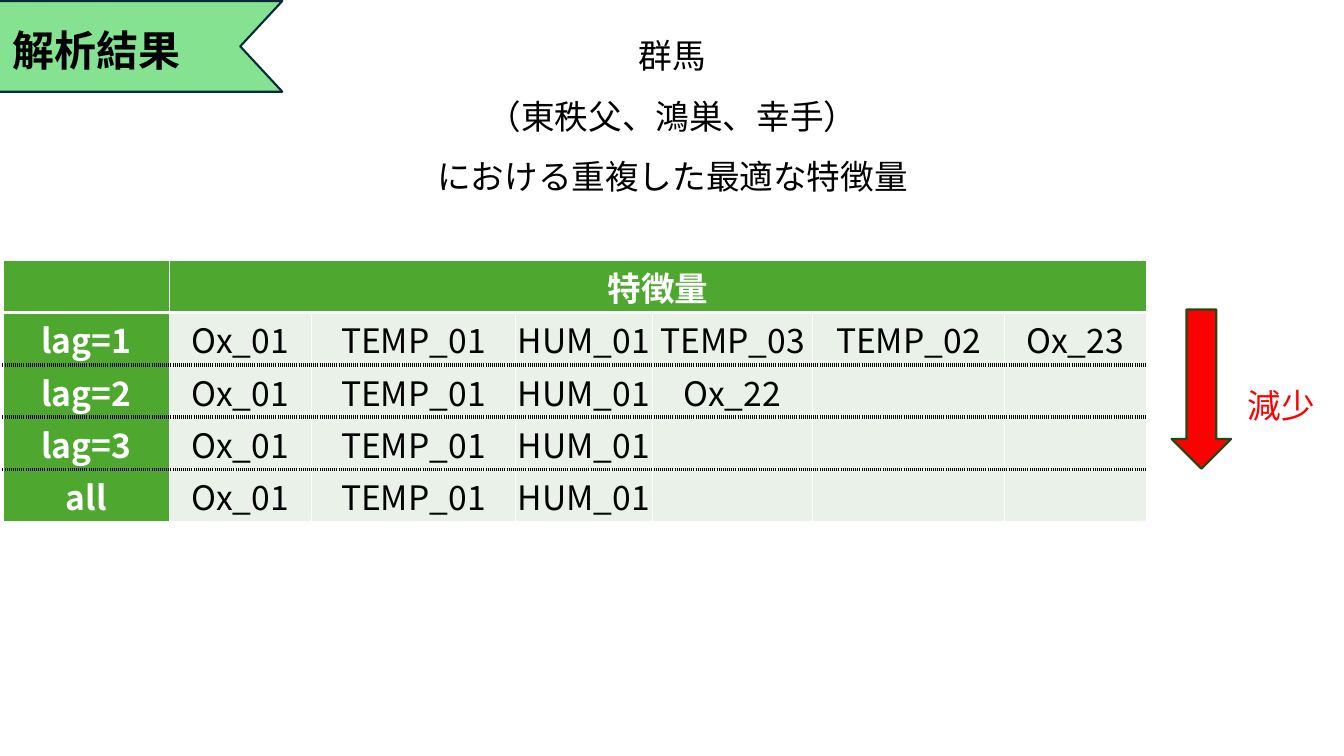
import pptx
import pptx.util
import pptx.dml.color
import pptx.enum.shapes
import pptx.enum.text
import pptx.oxml.ns
import lxml.etree

FACE = "Noto Sans CJK JP"
HUES = {"mint": "84E291", "navy": "092A39", "green": "4EA72E", "pale": "E9F1E8",
        "red": "FF0000", "moss": "224914", "black": "000000", "white": "FFFFFF"}
TITLE = "解析結果"
AREA = ["群馬", "（東秩父、鴻巣、幸手）", "における重複した最適な特徴量"]
TREND = "減少"
ROWS = [
    ["", "特徴量"],
    ["lag=1", "Ox_01", "TEMP_01", "HUM_01", "TEMP_03", "TEMP_02", "Ox_23"],
    ["lag=2", "Ox_01", "TEMP_01", "HUM_01", "Ox_22"],
    ["lag=3", "Ox_01", "TEMP_01", "HUM_01"],
    ["all", "Ox_01", "TEMP_01", "HUM_01"],
]
WIDTHS = [1.65, 1.41, 2.02, 1.36, 1.59, 1.9, 1.41]
HEIGHT = 0.52
THIN = ("white", 1, "solid")
THICK = ("white", 3, "solid")
DOTS = ("black", 3, "sysDot")
RULES = [THIN, THICK, DOTS, DOTS, DOTS, THIN]

Inches = pptx.util.Inches
Pt = pptx.util.Pt
SHAPE = pptx.enum.shapes.MSO_SHAPE
ALIGN = pptx.enum.text.PP_ALIGN
qn = pptx.oxml.ns.qn


def rgb(hue):
    return pptx.dml.color.RGBColor.from_string(HUES[hue])


def write(frame, lines, size, hue, bold=False, align=ALIGN.CENTER, space=None):
    for i, line in enumerate(lines):
        para = frame.paragraphs[0] if i == 0 else frame.add_paragraph()
        para.text = line
        para.alignment = align
        para.line_spacing = space
        font = para.font
        font.name, font.size, font.bold = FACE, Pt(size), bold
        font.color.rgb = rgb(hue)
        east = lxml.etree.SubElement(para._p.pPr.find(qn("a:defRPr")), qn("a:ea"))
        east.set("typeface", FACE)


def add_text(home, spot, lines, size, hue, **style):
    box = home.add_textbox(*map(Inches, spot))
    box.text_frame.word_wrap = True
    write(box.text_frame, lines, size, hue, **style)


def add_form(home, kind, spot, fill, line):
    form = home.add_shape(kind, *map(Inches, spot))
    form.shadow.inherit = False
    form.fill.solid()
    form.fill.fore_color.rgb = rgb(fill)
    form.line.color.rgb = rgb(line)
    form.line.width = Pt(1.5)
    return form


def add_edges(cell, edges):
    props = cell._tc.get_or_add_tcPr()
    for i, (side, (hue, width, dash)) in enumerate(edges):
        line = lxml.etree.Element(qn("a:ln" + side), w=str(Pt(width)))
        fill = lxml.etree.SubElement(line, qn("a:solidFill"))
        lxml.etree.SubElement(fill, qn("a:srgbClr"), val=HUES[hue])
        lxml.etree.SubElement(line, qn("a:prstDash"), val=dash)
        props.insert(i, line)


def add_grid(home, left, top):
    size = (sum(WIDTHS), HEIGHT * len(ROWS))
    grid = home.add_table(len(ROWS), len(WIDTHS), *map(Inches, (left, top, *size))).table
    grid.horz_banding = False
    for col, width in zip(grid.columns, WIDTHS):
        col.width = Inches(width)
    for r, words in enumerate(ROWS):
        grid.rows[r].height = Inches(HEIGHT)
        for c in range(len(WIDTHS)):
            cell = grid.cell(r, c)
            head = r == 0 or c == 0
            cell.fill.solid()
            cell.fill.fore_color.rgb = rgb("green" if head else "pale")
            cell.vertical_anchor = pptx.enum.text.MSO_ANCHOR.MIDDLE
            cell.margin_left = cell.margin_right = cell.margin_top = Inches(0.01)
            cell.margin_bottom = 0
            add_edges(cell, [("L", THIN), ("R", THIN), ("T", RULES[r]), ("B", RULES[r + 1])])
            if c < len(words) and words[c]:
                write(cell.text_frame, [words[c]], 24, "white" if head else "black", bold=head)
    grid.cell(0, 1).merge(grid.cell(0, len(WIDTHS) - 1))


def main():
    deck = pptx.Presentation()
    deck.slide_width, deck.slide_height = Inches(13.33), Inches(7.5)
    shapes = deck.slides.add_slide(deck.slide_layouts[6]).shapes

    flag = add_form(shapes, SHAPE.CHEVRON, (-0.54, 0.01, 3.34, 0.9), "mint", "navy")
    flag.rotation = 180
    flag.adjustments[0] = 0.464
    add_text(shapes, (0.03, 0.19, 2.48, 0.61), [TITLE], 30, "black", bold=True, align=ALIGN.LEFT)

    add_grid(shapes, 0.03, 2.58)
    add_text(shapes, (2.8, 0.1, 7.74, 1.87), AREA, 24, "black", space=1.5)

    trend = shapes.add_group_shape().shapes
    add_form(trend, SHAPE.DOWN_ARROW, (11.62, 3.07, 0.59, 1.58), "red", "moss")
    add_text(trend, (12.23, 3.57, 0.96, 0.58), [TREND], 24, "red", space=1.5)

    deck.save("out.pptx")


if __name__ == "__main__":
    main()
